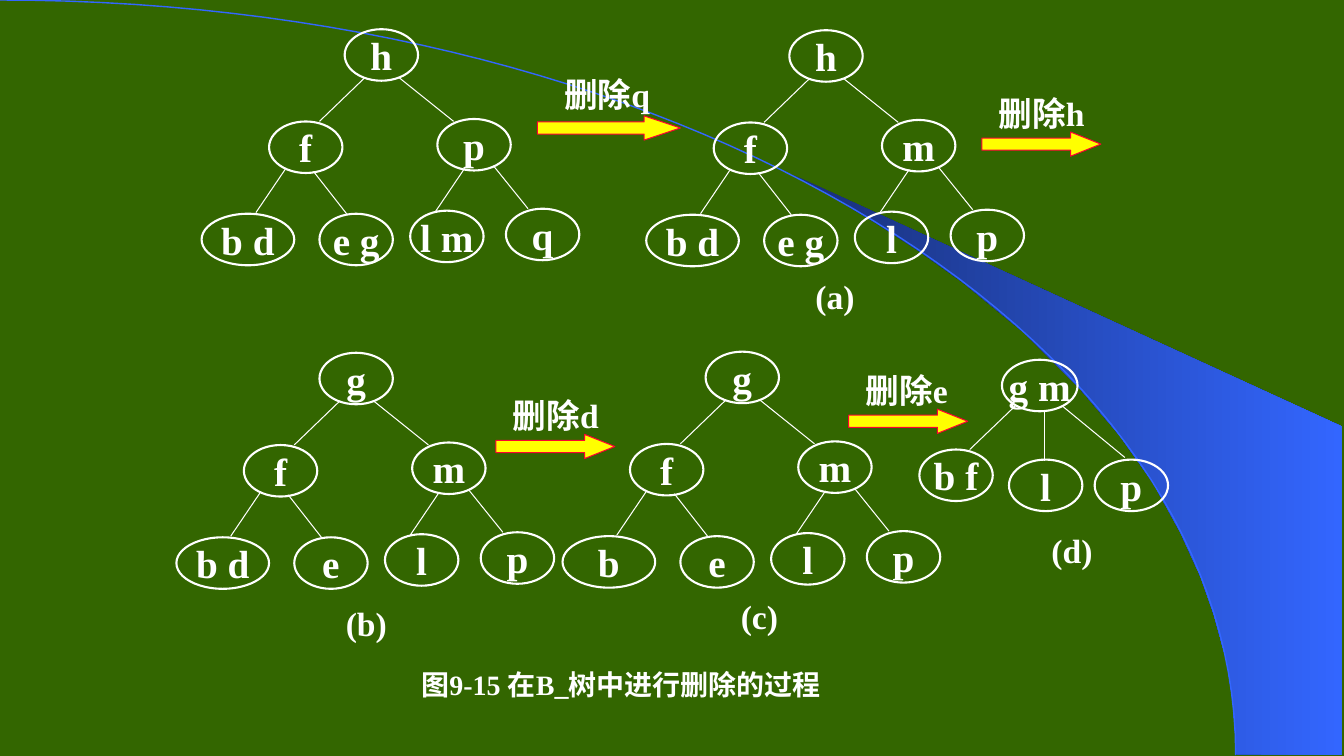
from dataclasses import dataclass
from typing import NamedTuple

from lxml.etree import SubElement
from pptx import Presentation
from pptx.dml.color import RGBColor
from pptx.enum.shapes import MSO_CONNECTOR as Connector, MSO_SHAPE as Preset
from pptx.enum.text import MSO_ANCHOR as Anchor, PP_ALIGN as Align
from pptx.oxml.ns import qn
from pptx.util import Pt


@dataclass(frozen=True)
class Theme:
    background: RGBColor = RGBColor.from_string("336600")
    ink: RGBColor = RGBColor.from_string("FFFFFF")
    arrow: RGBColor = RGBColor.from_string("FFFF00")
    arrow_edge: RGBColor = RGBColor.from_string("FF0033")
    wedge_dark: RGBColor = RGBColor.from_string("182F76")
    wedge_light: RGBColor = RGBColor.from_string("3366FF")
    font: str = "Times New Roman"
    title_size: float = 20
    label_size: float = 24
    key_size: float = 28


class Point(NamedTuple):
    x: float
    y: float


class Slot(NamedTuple):
    x: float
    y: float
    width: float = 52.4


class Edge(NamedTuple):
    start: Point
    end: Point


class Layout(NamedTuple):
    slots: list[Slot]
    edges: list[Edge]


class Tree(NamedTuple):
    root: Point
    keys: list[str]
    layout: Layout


class Deletion(NamedTuple):
    text: str
    label: Point
    arrow: Point
    length: float = 85
    head: float = 1.25


class Caption(NamedTuple):
    text: str
    at: Point


THEME = Theme()
NODE_HEIGHT = 36.8
ARROW_HEIGHT = 17.3
LABEL_HEIGHT = 31
LABEL_WIDTH = 100
CAPTION_WIDTH = 56
TITLE_WIDTH = 350

THREE_LEVELS = Layout(
    [Slot(0, 0), Slot(-54, 65.9), Slot(66.2, 64.1), Slot(-102.2, 131.8, 66.2),
     Slot(-18, 131.8), Slot(46.8, 129.6), Slot(115.2, 128.2)],
    [Edge(Point(14.4, 34.6), Point(-18, 65.8)), Edge(Point(38.9, 34.6), Point(77.8, 65.8)),
     Edge(Point(-42.5, 100.1), Point(-63.4, 131)), Edge(Point(-22.3, 101.5), Point(1.4, 131.8)),
     Edge(Point(85.7, 99.4), Point(64.8, 130.3)), Edge(Point(106.6, 97.9), Point(131, 128.2))],
)
TWO_LEVELS = Layout(
    [Slot(0, 0, 54), Slot(-59, 64.1), Slot(5, 71.3), Slot(66.2, 71.3)],
    [Edge(Point(10.1, 32.4), Point(-23, 64.1)), Edge(Point(30.2, 37.4), Point(30.2, 72)),
     Edge(Point(43.2, 33.1), Point(87.8, 69.8))],
)
TREES = [
    Tree(Point(246.2, 20.9), ["h", "f", "p", "b d", "e g", "l m", "q"], THREE_LEVELS),
    Tree(Point(563.8, 21.6), ["h", "f", "m", "b d", "e g", "l", "p"], THREE_LEVELS),
    Tree(Point(228.2, 252), ["g", "f", "m", "b d", "e", "l", "p"], THREE_LEVELS),
    Tree(Point(504, 251.2), ["g", "f", "m", "b", "e", "l", "p"], THREE_LEVELS),
    Tree(Point(715.7, 257), ["g m", "b f", "l", "p"], TWO_LEVELS),
]
DELETIONS = [
    Deletion("删除q", Point(396, 51.8), Point(383.8, 82.8), 102.2, 1.5),
    Deletion("删除h", Point(706.3, 65.5), Point(701.3, 94.3)),
    Deletion("删除d", Point(359.3, 280.8), Point(354.2, 310.3)),
    Deletion("删除e", Point(611.3, 262.8), Point(606.2, 292.3)),
]
CAPTIONS = [
    Caption("(a)", Point(568.5, 195.8)),
    Caption("(b)", Point(233.7, 429.8)),
    Caption("(c)", Point(514.5, 424.8)),
    Caption("(d)", Point(737.7, 377.3)),
]
WEDGE = [
    Point(883.4, 538.6), Point(958.3, 539.3), Point(958.3, 304.6), Point(565.9, 124.6),
    Point(599, 143.3), Point(626.4, 159.8), Point(657.4, 180), Point(687.6, 201.6),
    Point(731.5, 237.6), Point(770.4, 276.5), Point(799.2, 310.3), Point(823.7, 344.9),
    Point(843.1, 380.2), Point(857.5, 411.8), Point(866.9, 438.5), Point(876.2, 472.3),
    Point(880.6, 501.1),
]
ARC = [Point(0, 0), Point(487.4, 0), Point(882.7, 241.2), Point(882.7, 539.3)]
ARC_STEPS = 60


def write(shape, text: str, *, size: float, align: Align = Align.LEFT) -> None:
    frame = shape.text_frame
    frame.word_wrap = False
    frame.vertical_anchor = Anchor.MIDDLE
    para = frame.paragraphs[0]
    para.alignment = align
    span = para.add_run()
    span.text = text
    font = span.font
    font.name, font.size, font.bold = THEME.font, Pt(size), True
    font.color.rgb = THEME.ink


def add_label(page, text: str, at: Point, width: float, height: float, **style) -> None:
    box = page.shapes.add_textbox(Pt(at.x), Pt(at.y), Pt(width), Pt(height))
    write(box, text, **style)


def outline(shape, color: RGBColor, width: float) -> None:
    shape.shadow.inherit = False
    shape.line.color.rgb = color
    shape.line.width = Pt(width)


def trace(page, points: list[Point], close: bool):
    first, *rest = [(Pt(point.x), Pt(point.y)) for point in points]
    builder = page.shapes.build_freeform(*first)
    builder.add_line_segments(rest, close=close)
    shape = builder.convert_to_shape()
    shape.shadow.inherit = False
    return shape


def bezier(controls: list[Point], t: float) -> Point:
    weights = ((1 - t) ** 3, 3 * t * (1 - t) ** 2, 3 * t**2 * (1 - t), t**3)
    return Point(
        sum(weight * point.x for weight, point in zip(weights, controls)),
        sum(weight * point.y for weight, point in zip(weights, controls)),
    )


def draw_backdrop(page) -> None:
    page.background.fill.solid()
    page.background.fill.fore_color.rgb = THEME.background
    wedge = trace(page, WEDGE, True)
    wedge.line.fill.background()
    wedge.fill.gradient()
    wedge.fill.gradient_angle = 0
    for position, color in enumerate((THEME.wedge_dark, THEME.wedge_light)):
        stop = wedge.fill.gradient_stops[position]
        stop.position, stop.color.rgb = position, color
    arc = trace(page, [bezier(ARC, step / ARC_STEPS) for step in range(ARC_STEPS + 1)], False)
    arc.fill.background()
    outline(arc, THEME.wedge_light, 1)


def draw_tree(page, tree: Tree) -> None:
    x, y = tree.root
    for start, end in tree.layout.edges:
        line = page.shapes.add_connector(
            Connector.STRAIGHT, Pt(x + start.x), Pt(y + start.y), Pt(x + end.x), Pt(y + end.y))
        line.line.color.rgb = THEME.ink
        line.line.width = Pt(0.75)
        SubElement(line._element.spPr, qn("a:effectLst"))
    for key, slot in zip(tree.keys, tree.layout.slots):
        node = page.shapes.add_shape(
            Preset.OVAL, Pt(x + slot.x), Pt(y + slot.y), Pt(slot.width), Pt(NODE_HEIGHT))
        node.fill.background()
        outline(node, THEME.ink, 1.5)
        write(node, key, size=THEME.key_size, align=Align.CENTER)


def draw_deletion(page, step: Deletion) -> None:
    add_label(page, step.text, step.label, LABEL_WIDTH, LABEL_HEIGHT, size=THEME.label_size)
    arrow = page.shapes.add_shape(
        Preset.RIGHT_ARROW, Pt(step.arrow.x), Pt(step.arrow.y), Pt(step.length), Pt(ARROW_HEIGHT))
    arrow.adjustments[0], arrow.adjustments[1] = 0.5, step.head
    arrow.fill.solid()
    arrow.fill.fore_color.rgb = THEME.arrow
    outline(arrow, THEME.arrow_edge, 0.75)


def main() -> None:
    deck = Presentation()
    deck.slide_width, deck.slide_height = Pt(960), Pt(540)
    page = deck.slides.add_slide(deck.slide_layouts[6])
    draw_backdrop(page)
    for tree in TREES:
        draw_tree(page, tree)
    for step in DELETIONS:
        draw_deletion(page, step)
    for text, at in CAPTIONS:
        add_label(page, text, at, CAPTION_WIDTH, LABEL_HEIGHT,
                  size=THEME.label_size, align=Align.CENTER)
    add_label(page, "图9-15 在B_树中进行删除的过程", Point(293.8, 474.5), TITLE_WIDTH, 28,
              size=THEME.title_size)
    deck.save("out.pptx")


if __name__ == "__main__":
    main()
